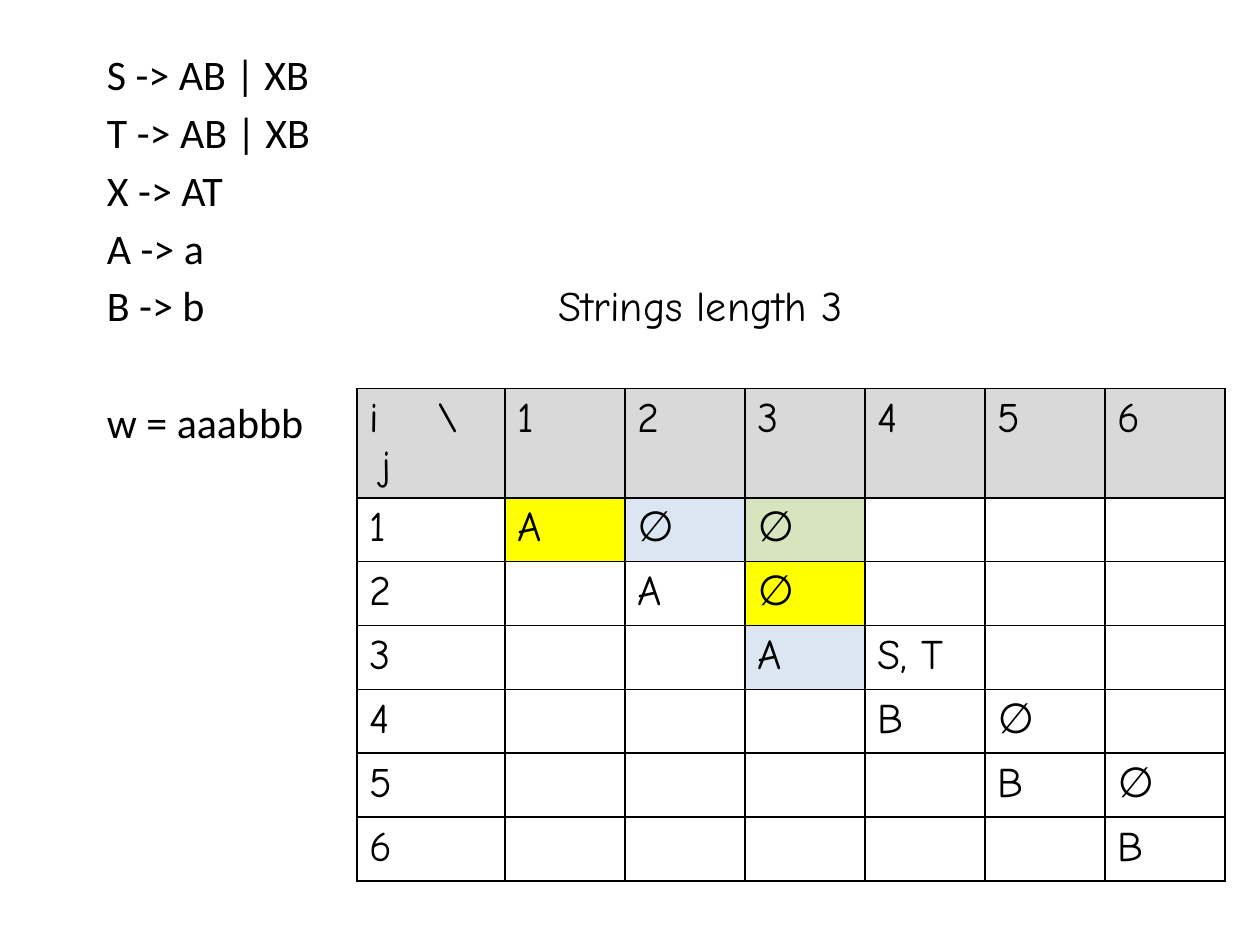
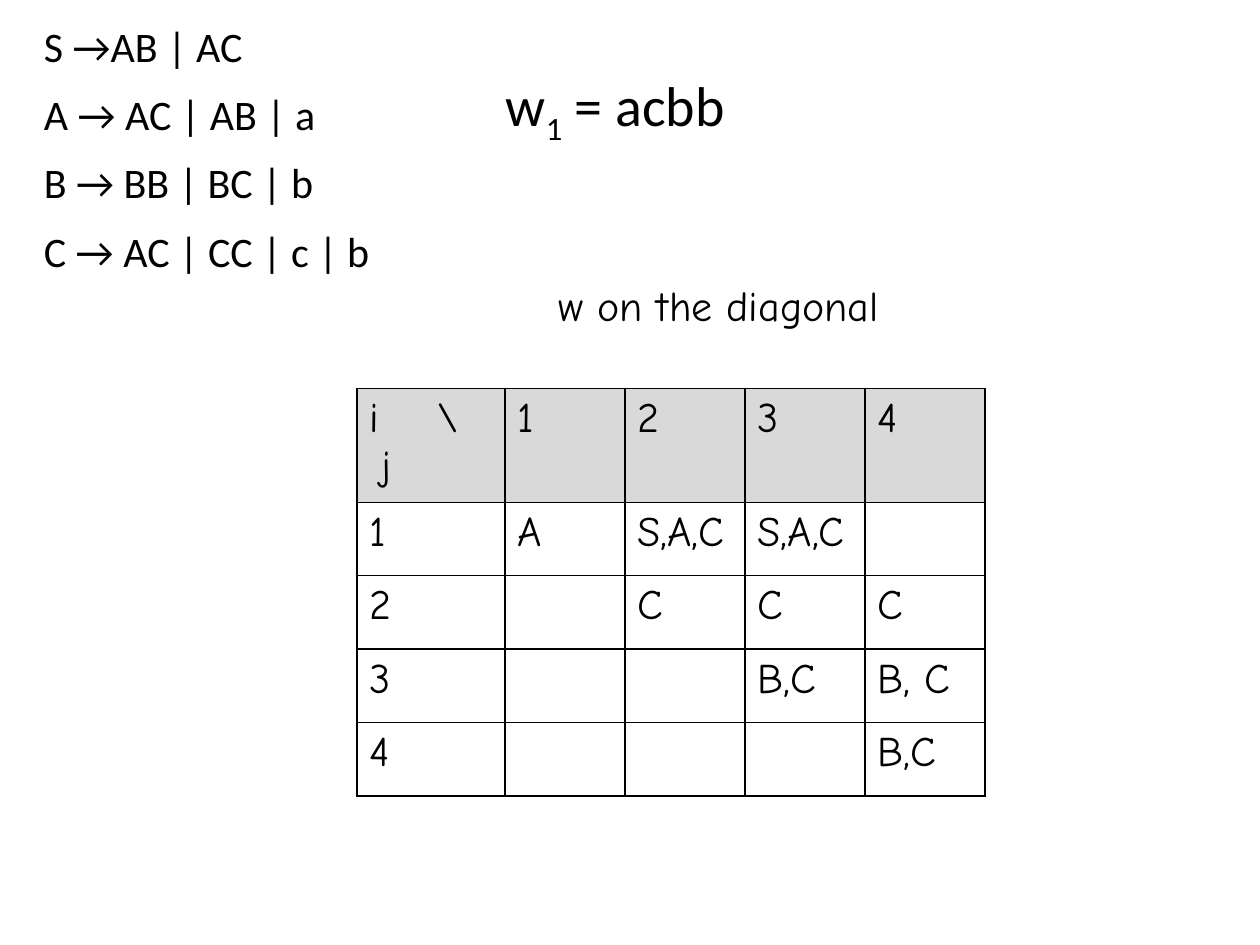
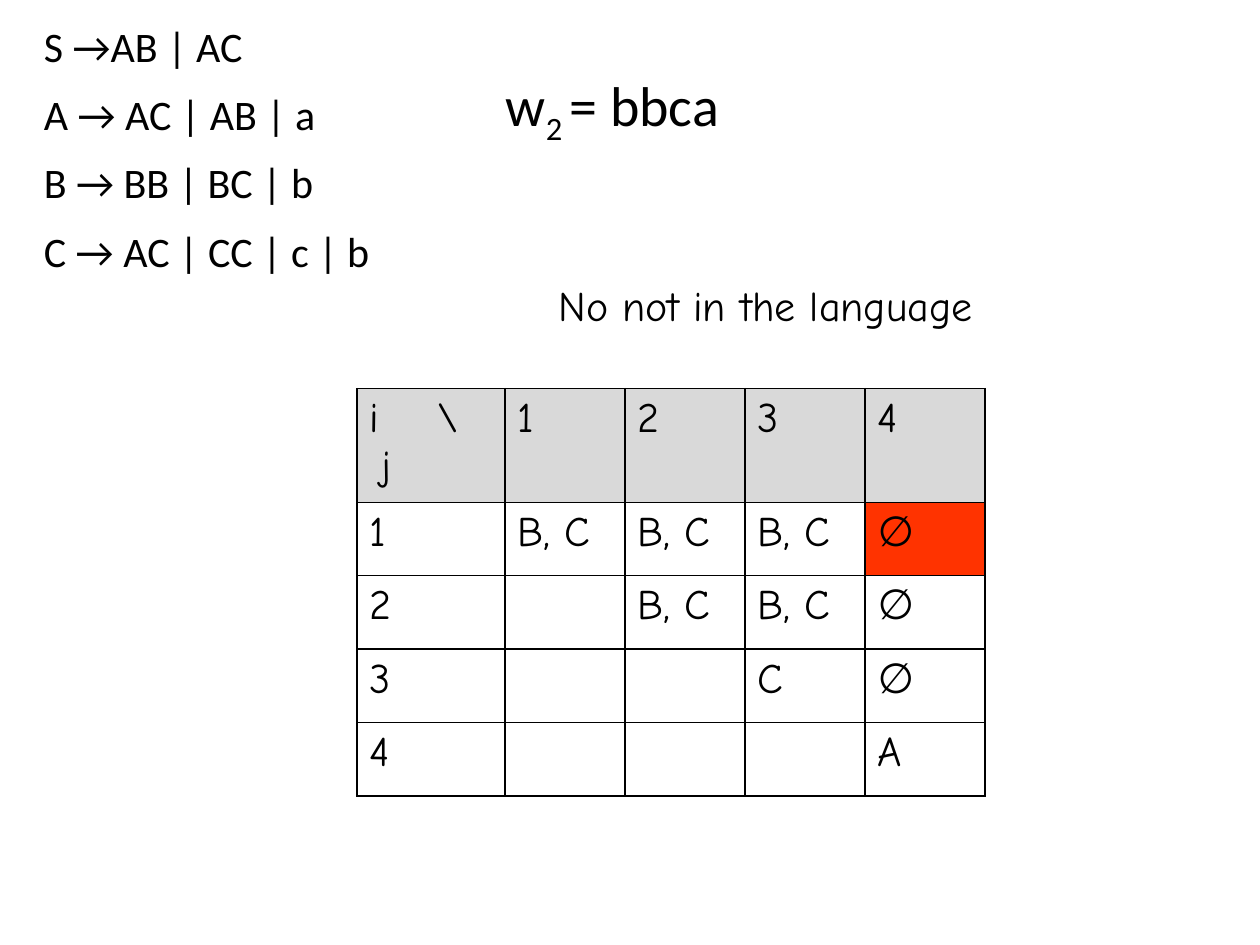
from pptx import Presentation
from pptx.dml.color import RGBColor as Rgb
from pptx.enum.text import MSO_AUTO_SIZE as Fit
from pptx.oxml import parse_xml
from pptx.oxml.ns import nsdecls
from pptx.util import Pt


class Theme:
    ink = Rgb(0, 0, 0)
    head = Rgb(0xD9, 0xD9, 0xD9)
    yellow = Rgb(0xFF, 0xFF, 0)
    blue = Rgb(0xDC, 0xE6, 0xF2)
    green = Rgb(0xD7, 0xE4, 0xBD)
    red = Rgb(0xFF, 0x33, 0)
    hand = "Comic Neue"
    plain = "Calibri"
    size = 24
    big = 32


def style(para, face, size=Theme.size):
    para.font.name = face
    para.font.size = Pt(size)
    para.font.color.rgb = Theme.ink


def add_text(slide, box, lines, face, size=Theme.size, wrap=True):
    frame = slide.shapes.add_textbox(*map(Pt, box)).text_frame
    frame.word_wrap = wrap
    frame.auto_size = Fit.SHAPE_TO_FIT_TEXT
    frame.text = "\n".join(lines)
    for para in frame.paragraphs:
        style(para, face, size)
    return frame.paragraphs


# Content: rules, word parts, caption and its width, rows, cell fills, row heights
rules = ["S →AB | AC", "A → AC | AB | a", "B → BB | BC | b", "C → AC | CC | c | b"]
pages = [
    dict(
        rules=["S -> AB | XB", "T -> AB | XB", "X -> AT", "A -> a", "B -> b",
               "w = aaabbb"],
        word=None, note="Strings length 3", wide=199,
        rows=[["A", "∅", "∅", "", "", ""],
              ["", "A", "∅", "", "", ""],
              ["", "", "A", "S, T", "", ""],
              ["", "", "", "B", "∅", ""],
              ["", "", "", "", "B", "∅"],
              ["", "", "", "", "", "B"]],
        fills={(1, 1): Theme.yellow, (1, 2): Theme.blue, (1, 3): Theme.green,
               (2, 3): Theme.yellow, (3, 3): Theme.blue},
        top=62.5, high=36.5),
    dict(
        rules=rules, word=("w", "1", " = acbb"), note="w on the diagonal", wide=207,
        rows=[["A", "S,A,C", "S,A,C", ""],
              ["", "C", "C", "C"],
              ["", "", "B,C", "B, C"],
              ["", "", "", "B,C"]],
        fills={}, top=65, high=42),
    dict(
        rules=rules, word=("w", "2 ", "= bbca"), note="No not in the language",
        wide=266,
        rows=[["B, C", "B, C", "B, C", "∅"],
              ["", "B, C", "B, C", "∅"],
              ["", "", "C", "∅"],
              ["", "", "", "A"]],
        fills={(1, 4): Theme.red}, top=65, high=42),
]

deck = Presentation()
deck.slide_width, deck.slide_height = Pt(720), Pt(540)

for page in pages:
    slide = deck.slides.add_slide(deck.slide_layouts[6])

    # Table with numbered header row and column
    count = len(page["rows"])
    grid = [["i\t\\\nj", *map(str, range(1, count + 1))]]
    grid += [[str(i), *row] for i, row in enumerate(page["rows"], 1)]
    wides = [84.5] + [68.6] * count
    highs = [page["top"]] + [page["high"]] * count
    table = slide.shapes.add_table(
        count + 1, count + 1, Pt(204), Pt(222), Pt(sum(wides)), Pt(sum(highs))).table
    table.first_row = table.horz_banding = False
    for col, wide in zip(table.columns, wides):
        col.width = Pt(wide)
    for row, high in zip(table.rows, highs):
        row.height = Pt(high)

    for i, row in enumerate(grid):
        for j, text in enumerate(row):
            cell = table.cell(i, j)
            props = cell._tc.get_or_add_tcPr()
            for side in "LRTB":
                props.append(parse_xml(
                    f'<a:ln{side} {nsdecls("a")} w="12700"><a:solidFill>'
                    f'<a:srgbClr val="{Theme.ink}"/></a:solidFill></a:ln{side}>'))
            shade = page["fills"].get((i, j), None if i else Theme.head)
            if shade:
                cell.fill.solid()
                cell.fill.fore_color.rgb = shade
            else:
                cell.fill.background()
            cell.text = text
            if (i, j) == (0, 0):
                first, last = cell.text_frame.paragraphs
                first._p.get_or_add_pPr().append(parse_xml(
                    f'<a:tabLst {nsdecls("a")}><a:tab pos="{Pt(38)}" algn="l"/>'
                    '</a:tabLst>'))
                last._p.get_or_add_pPr().set("marL", str(Pt(7)))
            for para in cell.text_frame.paragraphs:
                style(para, Theme.hand)

    # Caption above the table
    add_text(slide, (312, 156, page["wide"], 36), [page["note"]], Theme.hand,
             wrap=False)

    # Grammar rules, and the word to test
    if page["word"]:
        for para in add_text(slide, (-18, 3.6, 360, 159), page["rules"], Theme.plain):
            para._p.get_or_add_pPr().set("marL", str(Pt(36)))
            para.line_spacing = 1.15
            para.space_after = Pt(6)
        para = add_text(slide, (282, 36.7, 152, 46), [""], Theme.plain, Theme.big,
                        wrap=False)[0]
        for part in page["word"]:
            para.add_run().text = part
        para.runs[1]._r.get_or_add_rPr().set("baseline", "-25000")
    else:
        paras = add_text(slide, (54, 24, 332, 245), page["rules"], Theme.plain)
        for para in paras[1:]:
            para.space_before = Pt(4.3)
        paras[-1].space_before = Pt(38)

deck.save("out.pptx")
